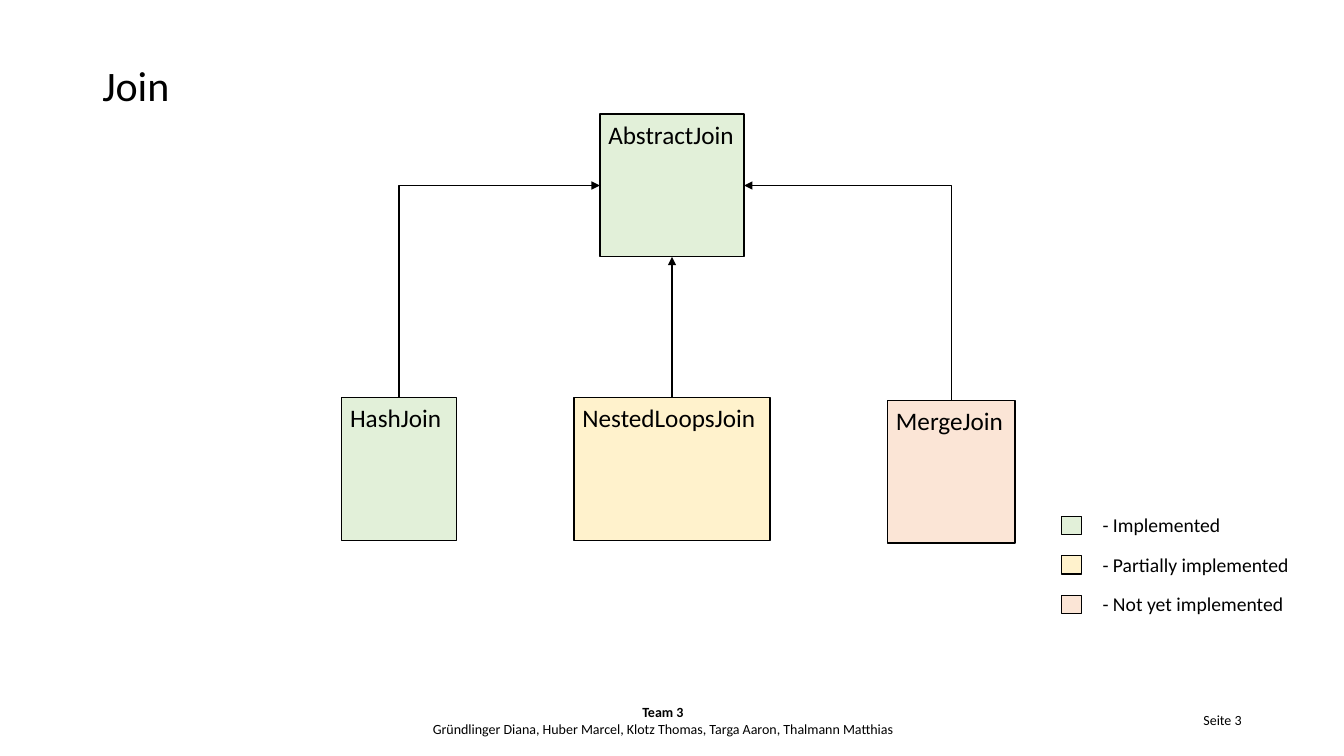
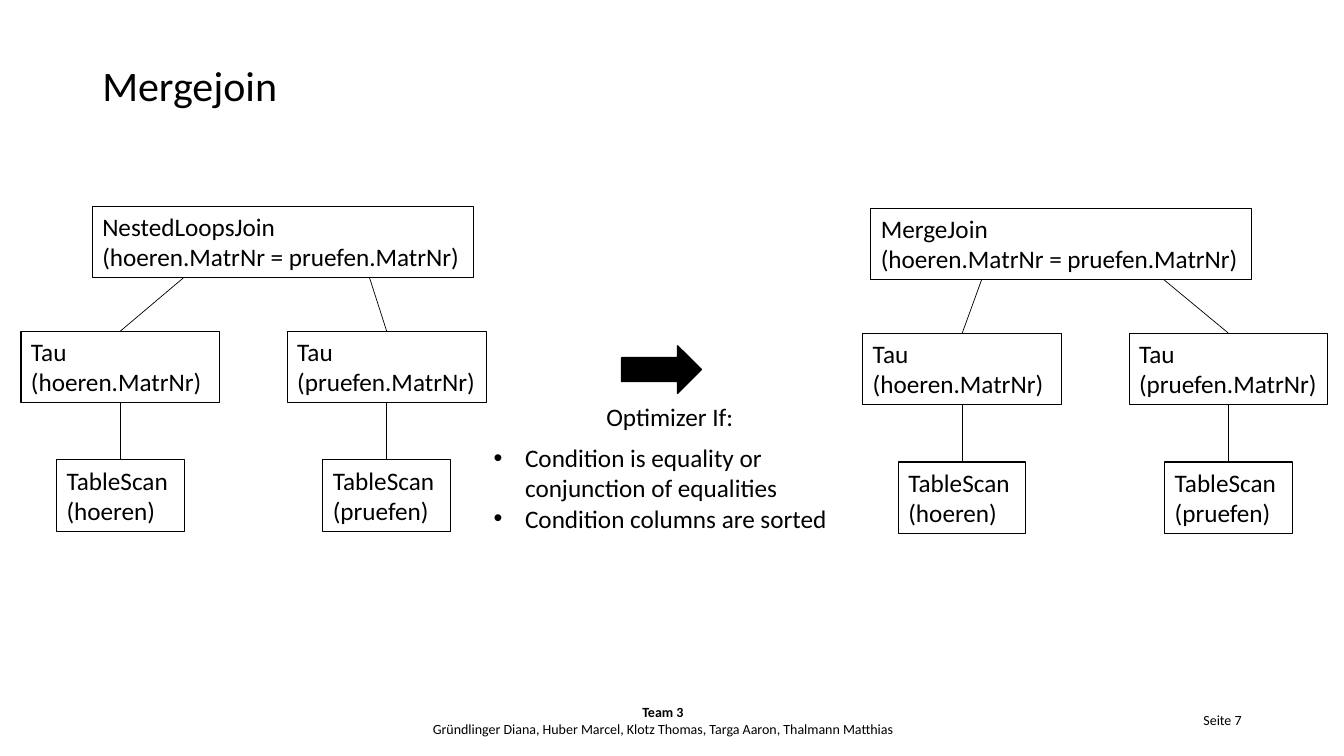
from pptx import Presentation
from pptx.dml.color import RGBColor
from pptx.enum.shapes import MSO_CONNECTOR as LinkKind, MSO_SHAPE as Preset
from pptx.enum.text import MSO_ANCHOR as Anchor, PP_ALIGN as Align
from pptx.oxml.ns import qn
from pptx.util import Pt
from lxml.etree import SubElement

FONT = "Calibri"
BLACK = RGBColor(0x00, 0x00, 0x00)
GREEN = RGBColor(0xE2, 0xF0, 0xD9)
YELLOW = RGBColor(0xFF, 0xF2, 0xCC)
ORANGE = RGBColor(0xFB, 0xE5, 0xD6)

TEAM = "Team 3"
MEMBERS = "Gründlinger Diana, Huber Marcel, Klotz Thomas, Targa Aaron, Thalmann Matthias"
CONDITION = "(hoeren.MatrNr = pruefen.MatrNr)"
TABLES = ("hoeren", "pruefen")
TOP, LEFT, BOTTOM, RIGHT = range(4)


def write(shape, lines, size=18, align=Align.LEFT, anchor=Anchor.TOP, inset=7.2, right=7.2):
    frame = shape.text_frame
    frame.text = "\n".join(lines)
    frame.word_wrap = True
    frame.vertical_anchor = anchor
    frame.margin_left, frame.margin_right = Pt(inset), Pt(right)
    for paragraph in frame.paragraphs:
        paragraph.alignment = align
        for run in paragraph.runs:
            run.font.name = FONT
            run.font.size = Pt(size)
            run.font.color.rgb = BLACK
    return frame


def add_text(slide, box, lines, **style):
    return write(slide.shapes.add_textbox(*map(Pt, box)), lines, **style)


def add_box(slide, box, fill=None, line=1, preset=Preset.RECTANGLE):
    shape = slide.shapes.add_shape(preset, *map(Pt, box))
    shape.shadow.inherit = False
    if fill is None:
        shape.fill.background()
    else:
        shape.fill.solid()
        shape.fill.fore_color.rgb = fill
    shape.line.color.rgb = BLACK
    shape.line.width = Pt(line)
    return shape


def add_link(slide, start, end, kind=LinkKind.STRAIGHT, width=1):
    link = slide.shapes.add_connector(kind, *start, *end)
    link.line.color.rgb = BLACK
    link.line.width = Pt(width)
    SubElement(link._element.spPr, qn("a:effectLst"))
    return link


def site(shape, side):
    across = {LEFT: 0, RIGHT: shape.width}.get(side, shape.width // 2)
    down = {TOP: 0, BOTTOM: shape.height}.get(side, shape.height // 2)
    return shape.left + across, shape.top + down


def add_inheritance(slide, parent, side, child):
    kind = LinkKind.STRAIGHT if side == BOTTOM else LinkKind.ELBOW
    link = add_link(slide, site(parent, side), site(child, TOP), kind)
    if kind == LinkKind.ELBOW:
        link._element.spPr.find(qn("a:prstGeom")).set("prst", "bentConnector2")
    link.begin_connect(parent, side)
    link.end_connect(child, TOP)
    SubElement(link.line._get_or_add_ln(), qn("a:headEnd"), type="triangle")


def add_page(deck, title, number):
    slide = deck.slides.add_slide(deck.slide_layouts[6])
    heading = add_text(slide, (66, 43, 828, 38), [title], size=30)
    heading.paragraphs[0].line_spacing = 0.9
    add_text(slide, (678, 500, 216, 29), [f"Seite {number}"], size=10,
             align=Align.RIGHT, anchor=Anchor.MIDDLE)
    footer = add_text(slide, (293, 500, 361, 29), [TEAM, MEMBERS], size=10,
                      align=Align.CENTER, anchor=Anchor.MIDDLE)
    footer.paragraphs[0].runs[0].font.bold = True
    return slide


def add_class(slide, name, box, fill):
    shape = add_box(slide, box, fill)
    write(shape, [name], inset=6, right=0)
    return shape


def add_hierarchy(slide, left, top):
    parent = add_class(slide, "AbstractJoin", (left + 184.5, top, 103, 102), GREEN)
    children = (
        ("HashJoin", 0, 202.5, 82, GREEN, LEFT),
        ("NestedLoopsJoin", 166, 202.5, 140, YELLOW, BOTTOM),
        ("MergeJoin", 390, 204.5, 91, ORANGE, RIGHT),
    )
    for name, x, y, width, fill, side in children:
        child = add_class(slide, name, (left + x, top + y, width, 102), fill)
        add_inheritance(slide, parent, side, child)


def add_legend(slide, left, top):
    states = (("Implemented", GREEN), ("Partially implemented", YELLOW),
              ("Not yet implemented", ORANGE))
    for row, (state, fill) in enumerate(states):
        y = top + row * 28.2
        add_box(slide, (left, y + 5.8, 14.6, 13), fill)
        add_text(slide, (left + 22.5, y, 152, 24), [f"- {state}"], size=14)


def add_operator(slide, box, lines):
    shape = add_box(slide, box, line=0.75)
    write(shape, lines, right=4)
    return shape


def add_plan(slide, left, top, join, join_shift, joints):
    join_left = left + join_shift
    root = add_operator(slide, (join_left, top, 272, 51), [join, CONDITION])
    for column, (table, joint) in enumerate(zip(TABLES, joints)):
        x = left + column * 190.2
        sort = add_operator(slide, (x, top + 89, 142, 51), [f"Tau ({table}.MatrNr)"])
        scan = add_operator(slide, (x + 25.5, top + 181, 91, 51), [f"TableScan ({table})"])
        start = Pt(join_left + joint), root.top + root.height
        add_link(slide, start, site(sort, TOP), width=0.5).end_connect(sort, TOP)
        edge = add_link(slide, site(sort, BOTTOM), site(scan, TOP), width=0.5)
        edge.begin_connect(sort, BOTTOM)
        edge.end_connect(scan, TOP)


def add_rule(slide, left, top):
    add_box(slide, (left + 98.5, top, 57, 34), BLACK, preset=Preset.RIGHT_ARROW)
    add_text(slide, (left + 80.5, top + 36, 108, 29), ["Optimizer If:"])
    conditions = add_text(slide, (left, top + 65.5, 268, 73), [
        "Condition is equality or\vconjunction of equalities",
        "Condition columns are sorted",
    ])
    for paragraph in conditions.paragraphs:
        properties = paragraph._p.get_or_add_pPr()
        properties.set("marL", str(Pt(22.5)))
        properties.set("indent", str(-Pt(22.5)))
        SubElement(properties, qn("a:buFont"), typeface="Arial")
        SubElement(properties, qn("a:buChar"), char="•")


def build_join(deck):
    slide = add_page(deck, "Join", 3)
    add_hierarchy(slide, 244, 81.5)
    add_legend(slide, 758, 363)


def build_mergejoin(deck):
    slide = add_page(deck, "Mergejoin", 7)
    add_plan(slide, 15, 147.5, "NestedLoopsJoin", 51, (65, 198))
    add_plan(slide, 616.3, 149, "MergeJoin", 5.8, (79, 209.5))
    add_rule(slide, 345.5, 247)


def main():
    deck = Presentation()
    deck.slide_width, deck.slide_height = Pt(960), Pt(540)
    build_join(deck)
    build_mergejoin(deck)
    deck.save("out.pptx")


if __name__ == "__main__":
    main()
